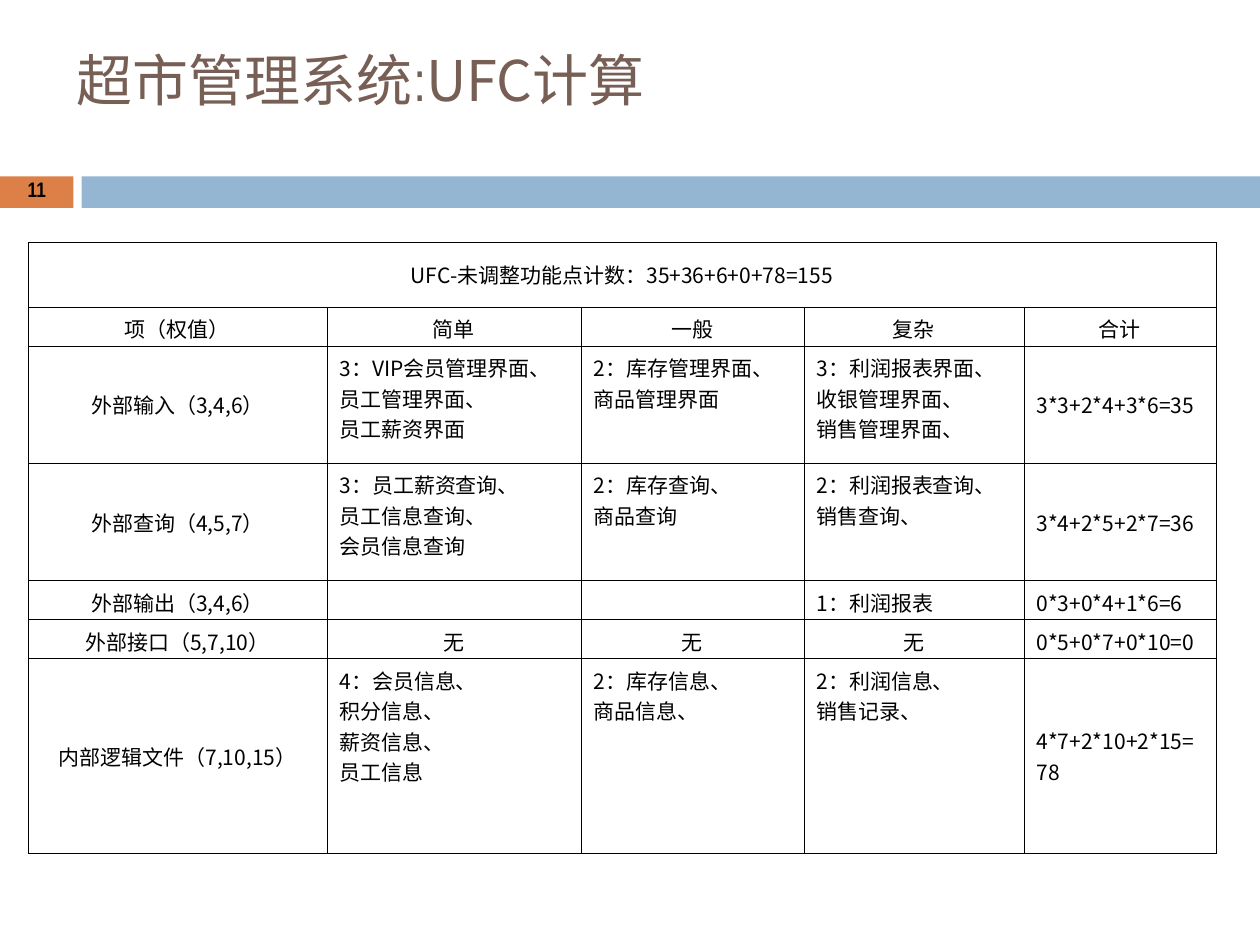
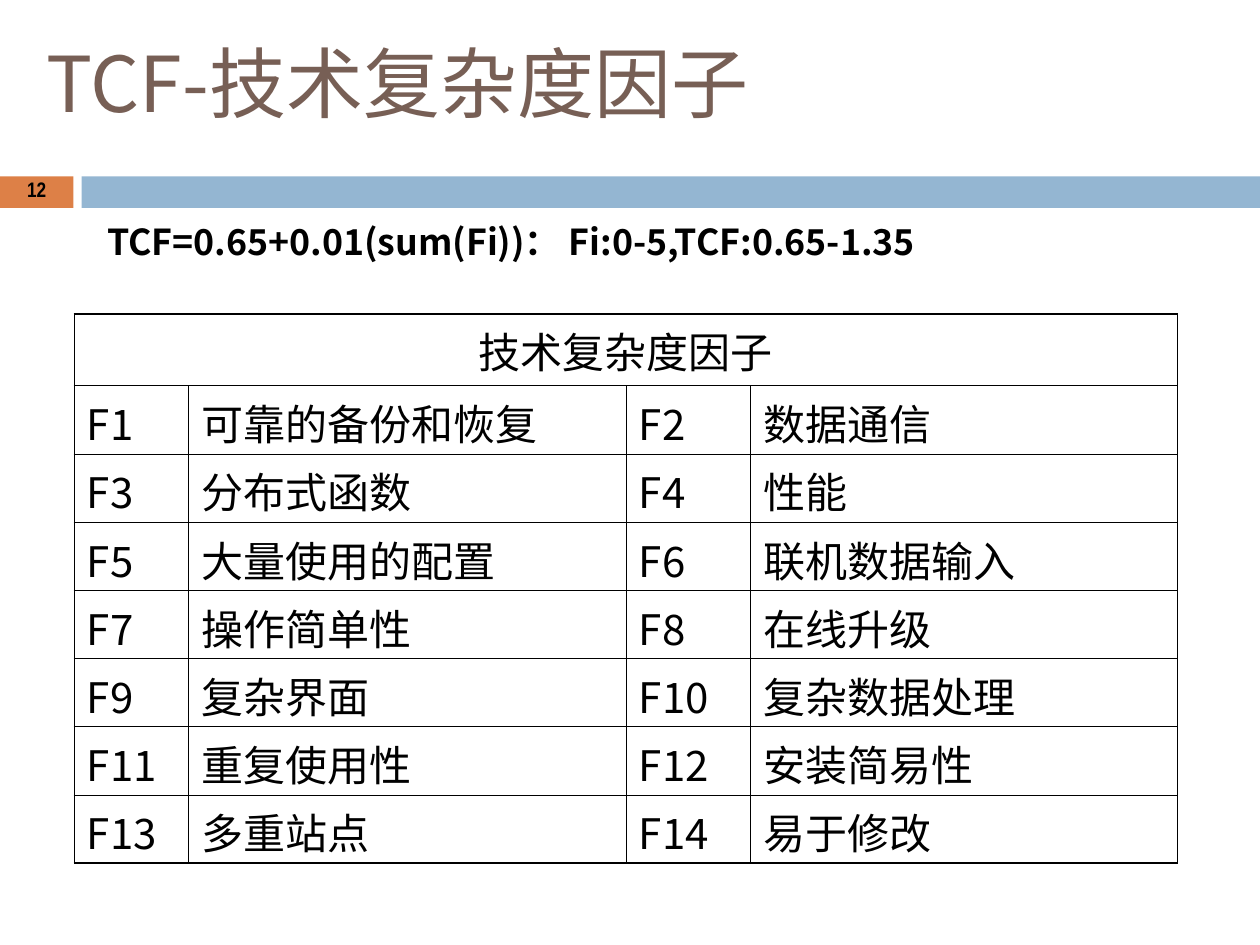
import lxml.etree
import pptx
import pptx.dml.color
import pptx.enum.shapes
import pptx.enum.text
import pptx.oxml.ns
import pptx.util

Pt = pptx.util.Pt
qn = pptx.oxml.ns.qn
ALIGN = pptx.enum.text.PP_ALIGN
ANCHOR = pptx.enum.text.MSO_ANCHOR

COLORS = {"title": "775F55", "number": "DD8047", "band": "94B6D2", "text": "000000"}
CJK = "Noto Sans CJK SC"
CJK_JP = "Noto Sans CJK JP"
NARROW = "Arial Narrow"


def style_font(font, name, size, color="text", bold=False):
    """Set the look of a font, with one typeface for Latin and East Asian text."""
    font.name = name
    font.size = Pt(size)
    font.bold = bold
    font.color.rgb = pptx.dml.color.RGBColor.from_string(COLORS[color])
    lxml.etree.SubElement(font._element, qn("a:ea"), typeface=name)


def add_grid(slide, rows, left, top, widths, heights, size, font_name, inner, outer):
    """Add a bordered table whose first row is one merged heading."""
    table = slide.shapes.add_table(
        len(rows), len(widths), Pt(left), Pt(top), Pt(sum(widths)), Pt(sum(heights))
    ).table
    table.first_row = table.horz_banding = False
    for column, width in zip(table.columns, widths):
        column.width = Pt(width)
    for row, height in zip(table.rows, heights):
        row.height = Pt(height)
    last_row, last_column = len(rows) - 1, len(widths) - 1
    table.cell(0, 0).merge(table.cell(0, last_column))
    for row_index, texts in enumerate(rows):
        for column_index, text in enumerate(texts):
            cell = table.cell(row_index, column_index)
            cell.text = text
            for paragraph in cell.text_frame.paragraphs:
                style_font(paragraph.font, font_name, size)
                if not text:
                    lxml.etree.SubElement(
                        paragraph._p, qn("a:endParaRPr"), sz=str(size * 100))
            right_index = column_index + cell.span_width - 1 if cell.is_merge_origin else column_index
            on_edge = {
                "lnL": column_index == 0,
                "lnR": right_index == last_column,
                "lnT": row_index == 0,
                "lnB": row_index == last_row,
            }
            properties = cell._tc.get_or_add_tcPr()
            for side, is_outer in on_edge.items():
                width = Pt(outer if is_outer else inner)
                line = lxml.etree.SubElement(properties, qn("a:" + side), w=str(int(width)))
                fill = lxml.etree.SubElement(line, qn("a:solidFill"))
                lxml.etree.SubElement(fill, qn("a:srgbClr"), val=COLORS["text"])
            cell.fill.background()
    return table


presentation = pptx.Presentation()
presentation.slide_width = Pt(720)
presentation.slide_height = Pt(540)

# Frame shared by both slides: title, two bands and the slide number
slide_frames = [
    # layout, number, title runs, title size, title box
    (5, "11", [("超市管理系统", CJK), (":", NARROW), ("UFC计算", CJK)], 32, (36.7, 26, 612, 54.7)),
    (1, "12", [("TCF-技术复杂度因子", CJK)], 44, (19.4, 20.2, 612, 90)),
]
for layout_index, number, title_runs, title_size, title_box in slide_frames:
    slide = presentation.slides.add_slide(presentation.slide_layouts[layout_index])

    title = slide.shapes.title
    title.left, title.top, title.width, title.height = map(Pt, title_box)
    frame = title.text_frame
    frame.auto_size = pptx.enum.text.MSO_AUTO_SIZE.NONE
    frame.vertical_anchor = ANCHOR.TOP
    frame.margin_top = frame.margin_bottom = 0
    paragraph = frame.paragraphs[0]
    paragraph.alignment = ALIGN.LEFT
    style_font(paragraph.font, CJK, title_size, "title")
    for text, font_name in title_runs:
        run = paragraph.add_run()
        run.text = text
        if font_name != CJK:
            run.font.name = font_name

    for color, left, width in [("number", 0, 42), ("band", 46.6, 673.4)]:
        band = slide.shapes.add_shape(
            pptx.enum.shapes.MSO_SHAPE.RECTANGLE, Pt(left), Pt(100.8), Pt(width), Pt(18))
        band.shadow.inherit = False
        band.fill.solid()
        band.fill.fore_color.rgb = pptx.dml.color.RGBColor.from_string(COLORS[color])
        band.line.fill.background()

    number_box = slide.shapes.add_textbox(0, Pt(100), Pt(42), Pt(19.4))
    frame = number_box.text_frame
    frame.word_wrap = True
    frame.vertical_anchor = ANCHOR.MIDDLE
    paragraph = frame.paragraphs[0]
    paragraph.text = number
    paragraph.alignment = ALIGN.CENTER
    paragraph.line_spacing = 0.8
    style_font(paragraph.font, NARROW, 12, bold=True)

count_slide, factor_slide = presentation.slides

# Slide 11: unadjusted function point count
count_rows = [
    ["UFC-未调整功能点计数：35+36+6+0+78=155"],
    ["项（权值）", "简单", "一般", "复杂", "合计"],
    ["外部输入（3,4,6）", "3：VIP会员管理界面、员工管理界面、\n员工薪资界面",
     "2：库存管理界面、\n商品管理界面", "3：利润报表界面、收银管理界面、\n销售管理界面、",
     "3*3+2*4+3*6=35"],
    ["外部查询（4,5,7）", "3：员工薪资查询、\n员工信息查询、\n会员信息查询",
     "2：库存查询、\n商品查询", "2：利润报表查询、\n销售查询、", "3*4+2*5+2*7=36"],
    ["外部输出（3,4,6）", "", "", "1：利润报表", "0*3+0*4+1*6=6"],
    ["外部接口（5,7,10）", "无", "无", "无", "0*5+0*7+0*10=0"],
    ["内部逻辑文件（7,10,15）", "4：会员信息、\n积分信息、\n薪资信息、\n员工信息",
     "2：库存信息、\n商品信息、", "2：利润信息、\n销售记录、", "4*7+2*10+2*15=78"],
]
count_table = add_grid(
    count_slide, count_rows, 16, 138.3, [170.8, 145.2, 127.4, 125.8, 109.6],
    [37.2, 22.3, 67, 67, 22.3, 22.3, 111.5], 12, CJK, 0.23, 0.23)
for row_index, texts in enumerate(count_rows):
    for column_index, text in enumerate(texts):
        cell = count_table.cell(row_index, column_index)
        if "\n" not in text:
            cell.vertical_anchor = ANCHOR.MIDDLE
        if row_index < 2 or column_index == 0 or text == "无":
            cell.text_frame.paragraphs[0].alignment = ALIGN.CENTER

# Slide 12: formula and technical complexity factors
formula = factor_slide.placeholders[1]
formula.left, formula.top, formula.width, formula.height = map(Pt, (54, 128.2, 612, 36))
frame = formula.text_frame
frame.auto_size = pptx.enum.text.MSO_AUTO_SIZE.NONE
frame.margin_top = frame.margin_bottom = 0
paragraph = frame.paragraphs[0]
paragraph.text = "TCF=0.65+0.01(sum(Fi))： Fi:0-5,TCF:0.65-1.35"
paragraph_properties = paragraph._p.get_or_add_pPr()
paragraph_properties.set("marL", str(int(Pt(25))))
paragraph_properties.set("indent", str(int(Pt(-25))))
lxml.etree.SubElement(paragraph_properties, qn("a:buNone"))
paragraph.line_spacing = 0.9
paragraph.space_before = Pt(7)
style_font(paragraph.font, CJK, 20.4, bold=True)

factors = [
    "可靠的备份和恢复", "数据通信", "分布式函数", "性能", "大量使用的配置", "联机数据输入", "操作简单性",
    "在线升级", "复杂界面", "复杂数据处理", "重复使用性", "安装简易性", "多重站点", "易于修改",
]
factor_rows = [["技术复杂度因子"]]
for index in range(0, len(factors), 2):
    factor_rows.append(
        [f"F{index + 1}", factors[index], f"F{index + 2}", factors[index + 1]])
factor_table = add_grid(
    factor_slide, factor_rows, 42.5, 179.4, [65.2, 250.2, 71, 244],
    [41] + [39] * 7, 24, CJK_JP, 0.45, 1.08)
for cell in factor_table.iter_cells():
    cell.text_frame.paragraphs[0].space_before = Pt(6)
factor_table.cell(0, 0).text_frame.paragraphs[0].alignment = ALIGN.CENTER

presentation.save("out.pptx")
